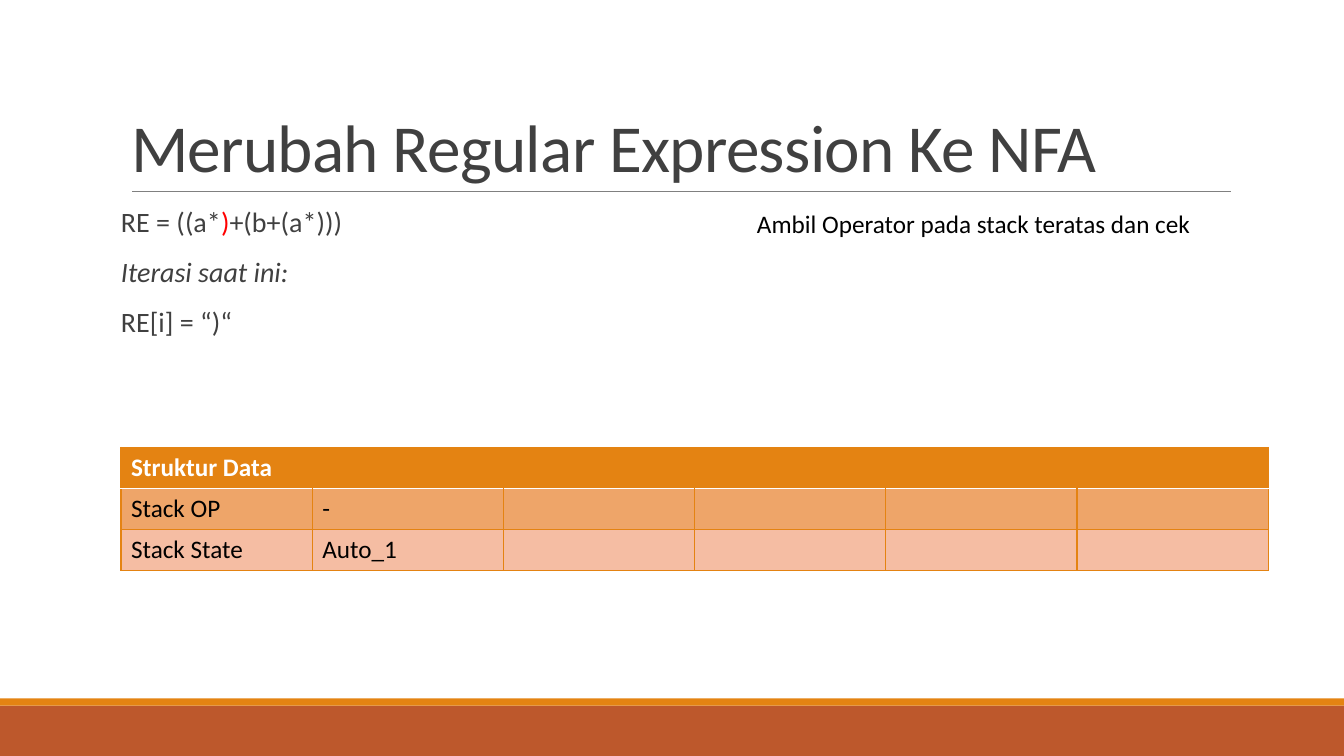
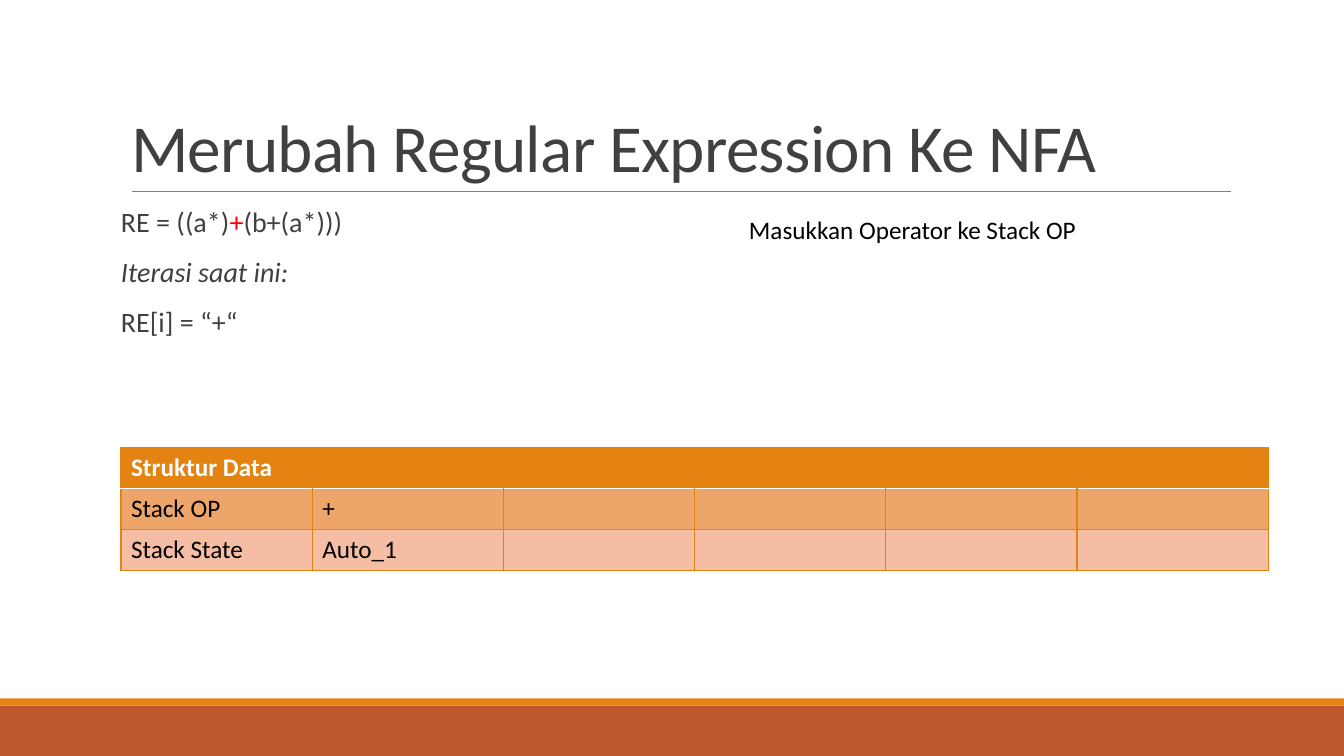
from lxml import etree
from pptx import Presentation
from pptx.dml.color import RGBColor
from pptx.enum.shapes import MSO_CONNECTOR, MSO_SHAPE
from pptx.enum.text import MSO_ANCHOR, MSO_AUTO_SIZE, PP_ALIGN
from pptx.oxml.ns import qn
from pptx.util import Inches, Pt

RUST = RGBColor(0xBD, 0x58, 0x2C)
ORANGE = RGBColor(0xE4, 0x83, 0x12)
LIGHT_ORANGE = RGBColor(0xEE, 0xA5, 0x69)
PEACH = RGBColor(0xF5, 0xBD, 0xA3)
GRAY = RGBColor(0x80, 0x80, 0x80)
DARK = RGBColor(0x40, 0x40, 0x40)
RED = RGBColor(0xFF, 0, 0)
BLACK = RGBColor(0, 0, 0)
WHITE = RGBColor(0xFF, 0xFF, 0xFF)
FONT = "Calibri"
TITLE = "Merubah Regular Expression Ke NFA"
COLUMNS = 6

# Per slide: expression before, current symbol, after; top operator; note and its place
STEPS = [
    ("((a*", ")", "+(b+(a*)))", "-",
     "Ambil Operator pada stack teratas dan cek", (7.41, 2.02, 4.54)),
    ("((a*)", "+", "(b+(a*)))", "+",
     "Masukkan Operator ke Stack OP", (7.33, 2.08, 3.48)),
]


def add_run(paragraph, text, size, color, bold=False, italic=False):
    run = paragraph.add_run()
    run.text = text
    font = run.font
    font.name, font.size, font.bold, font.italic = FONT, Pt(size), bold, italic
    font.color.rgb = color
    return run


def add_border(cell, side, color, width):
    """Draw one cell side; a color of None leaves it open."""
    line = etree.SubElement(cell._tc.get_or_add_tcPr(), qn("a:ln" + side), w=str(Pt(width)))
    if color is None:
        etree.SubElement(line, qn("a:noFill"))
    else:
        fill = etree.SubElement(line, qn("a:solidFill"))
        etree.SubElement(fill, qn("a:srgbClr"), val=str(color))


prs = Presentation()
prs.slide_width, prs.slide_height = Inches(13.33), Inches(7.5)
layout = prs.slide_layouts[1]

# Shared title and body places
for holder, (top, height) in zip(list(layout.placeholders)[:2], [(0.31, 1.59), (2.02, 4.4)]):
    holder.left, holder.top = Inches(1.2), Inches(top)
    holder.width, holder.height = Inches(11), Inches(height)

slides = [prs.slides.add_slide(layout) for _ in STEPS]

# Shared bands and title rule, drawn once and moved to the layout
decor = []
for top, height, color in [(7, 0.5, RUST), (6.93, 0.07, ORANGE)]:
    band = slides[0].shapes.add_shape(
        MSO_SHAPE.RECTANGLE, 0, Inches(top), prs.slide_width, Inches(height))
    band.shadow.inherit = False
    band.fill.solid()
    band.fill.fore_color.rgb = color
    band.line.fill.background()
    decor.append(band)
rule = slides[0].shapes.add_connector(
    MSO_CONNECTOR.STRAIGHT, Inches(1.31), Inches(1.9), Inches(12.21), Inches(1.9))
rule.line.color.rgb = GRAY
rule.line.width = Pt(0.5)
etree.SubElement(rule.element.spPr, qn("a:effectLst"))
decor.append(rule)
for number, shape in enumerate(decor):
    shape.element.xpath(".//p:cNvPr")[0].set("id", str(101 + number))
    layout.shapes.element.insert(2 + number, shape.element)

for slide, (before, symbol, after, operator, note, place) in zip(slides, STEPS):
    # Title
    frame = slide.shapes.title.text_frame
    frame.auto_size = MSO_AUTO_SIZE.NONE
    frame.vertical_anchor = MSO_ANCHOR.BOTTOM
    heading = frame.paragraphs[0]
    heading.alignment = PP_ALIGN.LEFT
    heading.line_spacing = 0.85
    run = add_run(heading, TITLE, 48, DARK)
    run.font._element.set("spc", "-50")

    # Expression and current symbol
    frame = slide.placeholders[1].text_frame
    frame.auto_size = MSO_AUTO_SIZE.NONE
    frame.margin_left = frame.margin_right = 0
    lines = [
        [("RE = " + before, DARK, False), (symbol, RED, False), (after, DARK, False)],
        [("Iterasi saat ini:", DARK, True)],
        [(f"RE[i] = “{symbol}“", DARK, False)],
    ]
    for index, parts in enumerate(lines):
        paragraph = frame.add_paragraph() if index else frame.paragraphs[0]
        paragraph.line_spacing = 0.9
        paragraph.space_before, paragraph.space_after = Pt(12), Pt(2)
        properties = paragraph._p.get_or_add_pPr()
        properties.set("marL", "0")
        properties.set("indent", "0")
        etree.SubElement(properties, qn("a:buNone"))
        for text, color, italic in parts:
            add_run(paragraph, text, 20, color, italic=italic)

    # Stack table
    rows = [
        (["Struktur Data"], ORANGE, WHITE),
        (["Stack OP", operator], LIGHT_ORANGE, BLACK),
        (["Stack State", "Auto_1"], PEACH, BLACK),
    ]
    table = slide.shapes.add_table(
        len(rows), COLUMNS, Inches(1.2), Inches(4.44), Inches(11.38), Inches(1.22)).table
    for row, (texts, fill, color) in enumerate(rows):
        table.rows[row].height = Inches(1.22 / len(rows))
        header = row == 0
        for column in range(COLUMNS):
            cell = table.cell(row, column)
            add_border(cell, "L", None if header and column > 0 else ORANGE, 1)
            add_border(cell, "R", None if header and column < COLUMNS - 1 else ORANGE, 1)
            add_border(cell, "T", *((WHITE, 1.25) if row == 1 else (ORANGE, 1)))
            add_border(cell, "B", *((WHITE, 1.25) if header else (ORANGE, 1)))
            cell.fill.solid()
            cell.fill.fore_color.rgb = fill
            if column < len(texts):
                add_run(cell.text_frame.paragraphs[0], texts[column], 18, color, bold=header)

    # Note on the step
    left, top, width = place
    box = slide.shapes.add_textbox(Inches(left), Inches(top), Inches(width), Inches(0.4))
    box.text_frame.word_wrap = False
    box.text_frame.auto_size = MSO_AUTO_SIZE.SHAPE_TO_FIT_TEXT
    add_run(box.text_frame.paragraphs[0], note, 18, BLACK)

prs.save("out.pptx")
